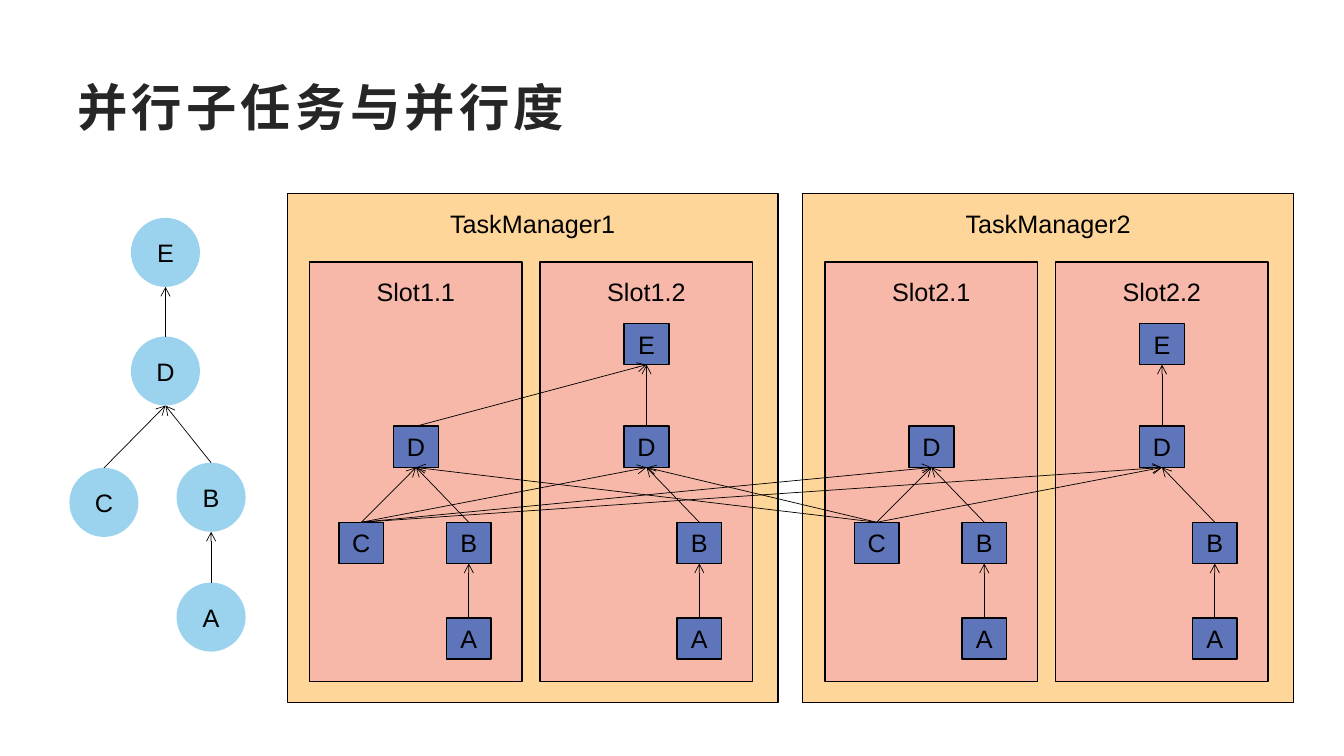
from lxml import etree
from pptx import Presentation
from pptx.dml.color import RGBColor
from pptx.enum.shapes import MSO_CONNECTOR, MSO_SHAPE
from pptx.enum.text import MSO_ANCHOR, PP_ALIGN
from pptx.oxml.ns import qn
from pptx.util import Cm, Pt

STRAIGHT = MSO_CONNECTOR.STRAIGHT
CIRCLE, RECTANGLE = MSO_SHAPE.FLOWCHART_CONNECTOR, MSO_SHAPE.RECTANGLE
BOTTOM_SITE = {CIRCLE: 4, RECTANGLE: 2}
LEFT, CENTER = PP_ALIGN.LEFT, PP_ALIGN.CENTER
TOP, MIDDLE = MSO_ANCHOR.TOP, MSO_ANCHOR.MIDDLE

BLACK = RGBColor(0x00, 0x00, 0x00)
CHARCOAL = RGBColor(0x26, 0x26, 0x26)
SKY = RGBColor(0x9B, 0xD3, 0xEF)
SAND = RGBColor(0xFF, 0xD6, 0x99)
SALMON = RGBColor(0xF7, 0xB8, 0xA9)
INDIGO = RGBColor(0x5E, 0x75, 0xBA)


def write_text(shape, text, size=18, color=BLACK, bold=False, font="Arial",
               align=CENTER, anchor=MIDDLE, margins=(0, 0), spacing=0):
    frame = shape.text_frame
    frame.word_wrap = True
    frame.vertical_anchor = anchor
    frame.margin_left = frame.margin_right = Cm(margins[0])
    frame.margin_top = frame.margin_bottom = Cm(margins[1])
    paragraph = frame.paragraphs[0]
    paragraph.alignment = align
    run = paragraph.add_run()
    run.text = text
    run.font.name = font
    run.font.size = Pt(size)
    run.font.bold = bold
    run.font.color.rgb = color
    if spacing:
        run.font._element.set("spc", str(spacing * 100))


class SlideBuilder:
    border_width = Pt(1)
    arrow_width = Pt(0.5)

    def __init__(self, slide):
        self.slide = slide

    def title(self, text, left, top, width, height):
        title = self.slide.shapes.title
        title.left, title.top = Cm(left), Cm(top)
        title.width, title.height = Cm(width), Cm(height)
        write_text(title, text, size=36, color=CHARCOAL, bold=True,
                   align=LEFT, margins=(0.25, 0.13), spacing=3)

    def box(self, kind, text, left, top, width, height, fill,
            border=BLACK, **text_format):
        box = self.slide.shapes.add_shape(
            kind, Cm(left), Cm(top), Cm(width), Cm(height))
        box.shadow.inherit = False
        box.fill.solid()
        box.fill.fore_color.rgb = fill
        if border is None:
            box.line.fill.background()
        else:
            box.line.color.rgb = border
            box.line.width = self.border_width
        write_text(box, text, **text_format)
        return box

    def operator(self, text, left, top):
        return self.box(CIRCLE, text, left, top, 1.74, 1.74, SKY, border=None)

    def container(self, text, left, top, width, height, fill):
        return self.box(RECTANGLE, text, left, top, width, height, fill,
                        anchor=TOP, margins=(0.25, 0.36))

    def task(self, text, left, top):
        return self.box(RECTANGLE, text, left, top, 1.13, 1.04, INDIGO)

    def arrow(self, source, target):
        arrow = self.slide.shapes.add_connector(
            STRAIGHT, source.left + source.width // 2, source.top,
            target.left + target.width // 2, target.top + target.height)
        arrow.line.color.rgb = BLACK
        arrow.line.width = self.arrow_width
        etree.SubElement(arrow.line._get_or_add_ln(), qn("a:tailEnd"), type="arrow")
        etree.SubElement(arrow._element.spPr, qn("a:effectLst"))
        glue = arrow._element.nvCxnSpPr.cNvCxnSpPr
        target_site = BOTTOM_SITE[target.auto_shape_type]
        for tag, box, site in (("a:stCxn", source, 0),
                               ("a:endCxn", target, target_site)):
            etree.SubElement(glue, qn(tag), id=str(box.shape_id), idx=str(site))


DATAFLOW = ("AB", "BD", "CD", "DE")
OPERATOR_PLACES = {"A": (4.45, 14.68), "B": (4.45, 11.66), "C": (1.75, 11.79),
                   "D": (3.3, 8.48), "E": (3.3, 5.49)}
TASK_PLACES = {"A": (3.45, 15.57), "B": (3.45, 13.16), "C": (0.74, 13.16),
               "D": (2.12, 10.74), "E": (2.12, 8.15)}
SLOT_TASKS = {"1.1": "ABCD", "1.2": "ABDE", "2.1": "ABCD", "2.2": "ABDE"}
MANAGER_LEFT, MANAGER_PITCH = 7.24, 12.99
SLOT_INSET, SLOT_PITCH = 0.56, 5.81

presentation = Presentation()
presentation.slide_width, presentation.slide_height = Cm(33.87), Cm(19.05)
title_only = presentation.slide_layouts[5]
builder = SlideBuilder(presentation.slides.add_slide(title_only))
builder.title("并行子任务与并行度", 1.7, 1.7, 30.48, 1.96)

operators = {name: builder.operator(name, *place)
             for name, place in OPERATOR_PLACES.items()}
for source, target in DATAFLOW:
    builder.arrow(operators[source], operators[target])

for manager in (1, 2):
    manager_left = MANAGER_LEFT + (manager - 1) * MANAGER_PITCH
    builder.container(f"TaskManager{manager}", manager_left, 4.88, 12.37, 12.83, SAND)

tasks = {}
for index, (slot, names) in enumerate(SLOT_TASKS.items()):
    manager_index, slot_index = divmod(index, 2)
    slot_left = (MANAGER_LEFT + SLOT_INSET + manager_index * MANAGER_PITCH
                 + slot_index * SLOT_PITCH)
    builder.container(f"Slot{slot}", slot_left, 6.6, 5.36, 10.57, SALMON)
    for name in names:
        offset, top = TASK_PLACES[name]
        tasks[slot, name] = builder.task(name, slot_left + offset, top)
    for source, target in DATAFLOW:
        if source != "C" and target in names:
            builder.arrow(tasks[slot, source], tasks[slot, target])

builder.arrow(tasks["1.1", "D"], tasks["1.2", "E"])
for source_slot in ("1.1", "2.1"):
    for target_slot in SLOT_TASKS:
        builder.arrow(tasks[source_slot, "C"], tasks[target_slot, "D"])

presentation.save("out.pptx")
